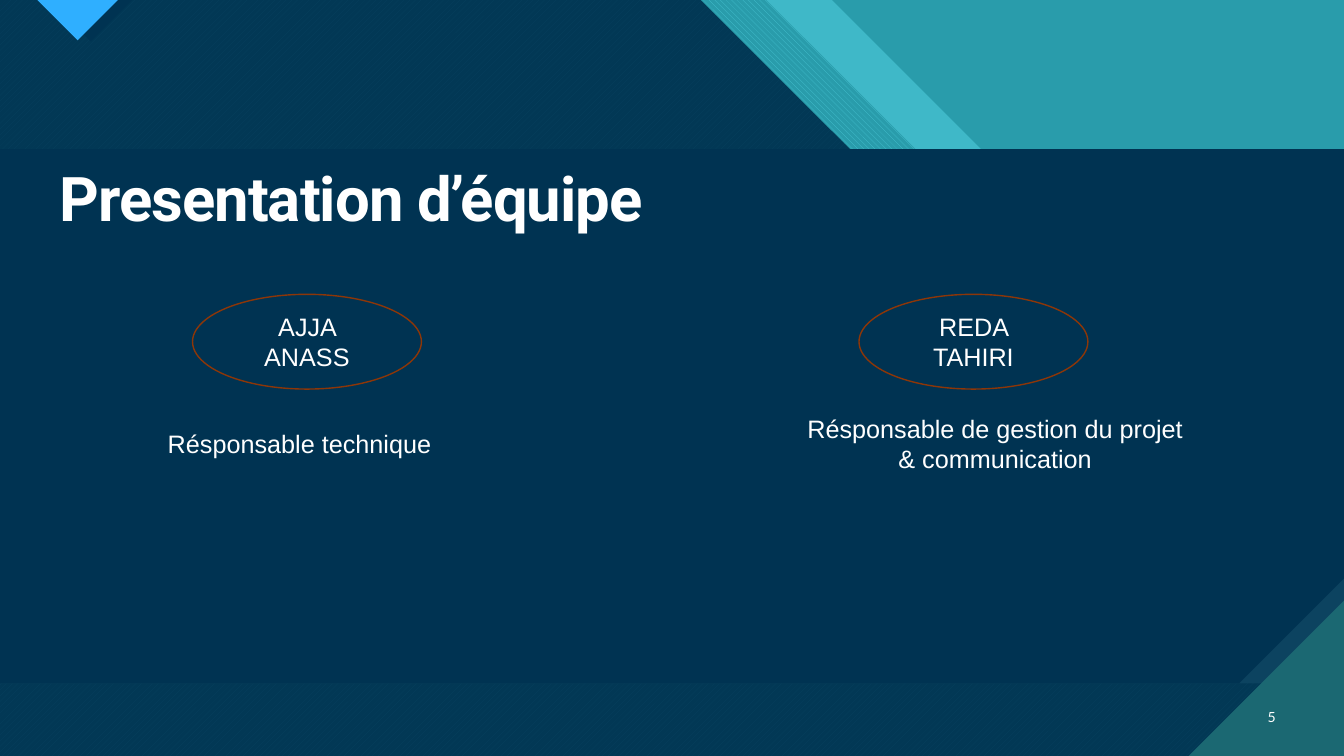
from pptx import Presentation
from pptx.dml.color import RGBColor
from pptx.enum.dml import MSO_PATTERN
from pptx.enum.shapes import MSO_SHAPE
from pptx.enum.text import MSO_ANCHOR, MSO_AUTO_SIZE, PP_ALIGN
from pptx.util import Inches, Pt
from lxml import etree

ELLIPSE = MSO_SHAPE.OVAL
TOP, MIDDLE = MSO_ANCHOR.TOP, MSO_ANCHOR.MIDDLE
LEFT, CENTER, RIGHT = PP_ALIGN.LEFT, PP_ALIGN.CENTER, PP_ALIGN.RIGHT
DOWN_DIAGONAL = MSO_PATTERN.WIDE_DOWNWARD_DIAGONAL
UP_DIAGONAL = MSO_PATTERN.WIDE_UPWARD_DIAGONAL

WIDTH, HEIGHT = 13.33, 7.5
NAVY, NAVY_LIGHT, BLUE, WHITE = "003352", "0C4360", "2FAFFF", "FFFFFF"
TEAL, TEAL_LIGHT, TEAL_DARK, RUST = "299CAB", "47C3D3", "1B6872", "8D3608"
DRAWING = "{http://schemas.openxmlformats.org/drawingml/2006/main}"


def color(hex_text):
    return RGBColor.from_string(hex_text)


def style_text(frame, text, size, font, align=CENTER, anchor=TOP):
    frame.text = text
    frame.word_wrap = True
    frame.vertical_anchor = anchor
    paragraph = frame.paragraphs[0]
    paragraph.alignment = align
    run = paragraph.runs[0]
    run.font.size, run.font.name = Pt(size), font
    run.font.color.rgb = color(WHITE)
    return run


def add_label(slide, box, text, size, font, **layout):
    label = slide.shapes.add_textbox(*map(Inches, box))
    style_text(label.text_frame, text, size, font, **layout)


def add_polygon(slide, points, fill, back=None, pattern=None, opacity=100):
    corners = [(Inches(x), Inches(y)) for x, y in points]
    builder = slide.shapes.build_freeform(*corners[0])
    builder.add_line_segments(corners[1:], close=True)
    polygon = builder.convert_to_shape()
    polygon.shadow.inherit = False
    polygon.line.fill.background()
    if pattern:
        polygon.fill.patterned()
        polygon.fill.pattern = pattern
        polygon.fill.fore_color.rgb = color(fill)
        polygon.fill.back_color.rgb = color(back)
    else:
        polygon.fill.solid()
        polygon.fill.fore_color.rgb = color(fill)
    if opacity < 100:
        tint = polygon._element.spPr.find(f"{DRAWING}solidFill/{DRAWING}srgbClr")
        etree.SubElement(tint, DRAWING + "alpha", val=str(opacity * 1000))


def diagonal_outline(box, start, shelf):
    """Outline that steps down at 45 degrees from the top edge to the right."""
    left, top, width, height = box
    right, bottom, drop = left + width, top + height, 2.97
    return [(left, top), (start, top), (start + drop, top + drop),
            (shelf, top + drop), (right, top + drop + right - shelf),
            (right, bottom), (left, bottom)]


def add_backdrop(slide, box):
    left, top, width, height = box
    right, bottom = left + width, top + height
    slide.background.fill.solid()
    slide.background.fill.fore_color.rgb = color(TEAL)

    # Diagonal bands, from the lightest to the navy field
    add_polygon(slide, diagonal_outline(box, 8.25, 12.34), TEAL_LIGHT, opacity=74)
    add_polygon(slide, diagonal_outline(box, 7.6, 11.84), TEAL_LIGHT, TEAL, DOWN_DIAGONAL)
    navy_field = diagonal_outline(box, 6.95, 11.18)
    add_polygon(slide, navy_field, TEAL_LIGHT, TEAL_DARK, UP_DIAGONAL)
    add_polygon(slide, navy_field, NAVY, opacity=90)

    # Top marker with its shade
    for center, reach, fill in ((0.9, 0.41, NAVY), (0.77, 0.4, BLUE)):
        add_polygon(slide, [(left + center - reach, top), (left + center + reach, top),
                            (left + center, top + reach)], fill)

    # Content panel with a cut lower right corner
    panel_top, panel_bottom = top + 1.48, top + 6.78
    for cut, fill in ((0, NAVY_LIGHT), (1.04, NAVY)):
        add_polygon(slide, [(left, panel_top), (right, panel_top),
                            (right, panel_bottom - cut), (right - cut, panel_bottom),
                            (left, panel_bottom)], fill)

    # Page number corner
    corner = 1.54
    add_polygon(slide, [(right - corner, bottom), (right, bottom),
                        (right, bottom - corner)], TEAL_DARK)


def add_heading(slide, box, text):
    heading = slide.shapes.title
    heading.left, heading.top, heading.width, heading.height = map(Inches, box)
    run = style_text(heading.text_frame, text, 44, "Roboto", align=LEFT)
    heading.text_frame.auto_size = MSO_AUTO_SIZE.NONE
    heading.text_frame.paragraphs[0].line_spacing = 0.9
    run.font.bold = True
    run._r.get_or_add_rPr().set("spc", "-70")


def add_member(slide, box, name, role, role_box):
    left, top, width, height = box
    badge = slide.shapes.add_shape(ELLIPSE, *map(Inches, box))
    badge.shadow.inherit = False
    badge.fill.background()
    badge.line.color.rgb = color(RUST)
    badge.line.width = Pt(1)
    style_text(badge.text_frame, name, 18, "Arial", anchor=MIDDLE)
    dx, dy, role_width, role_height = role_box
    add_label(slide, (left + dx, top + dy, role_width, role_height), role, 18, "Arial")


def build_team_slide(prs):
    slide = prs.slides.add_slide(prs.slide_layouts[5])
    add_backdrop(slide, (0, 0, WIDTH, HEIGHT))

    # Title goes in front of the backdrop
    slide.shapes._spTree.append(slide.shapes.title._element)
    add_heading(slide, (0.49, 1.62, 12.26, 0.77), "Presentation d’équipe")
    add_label(slide, (12.31, 6.91, 0.44, 0.4), "5", 10, "Lato", align=RIGHT, anchor=MIDDLE)

    # Team members, roles placed relative to the badges
    team = [
        (1.91, "AJJA ANASS", "Résponsable technique", (-1.01, 1.28, 4.14, 0.4)),
        (8.52, "REDA TAHIRI", "Résponsable de gestion du projet & communication",
         (-0.72, 1.13, 4.14, 0.71)),
    ]
    for left, name, role, role_box in team:
        add_member(slide, (left, 2.92, 2.27, 0.94), name, role, role_box)


def main():
    prs = Presentation()
    prs.slide_width, prs.slide_height = Inches(WIDTH), Inches(HEIGHT)
    build_team_slide(prs)
    prs.save("out.pptx")


if __name__ == "__main__":
    main()
